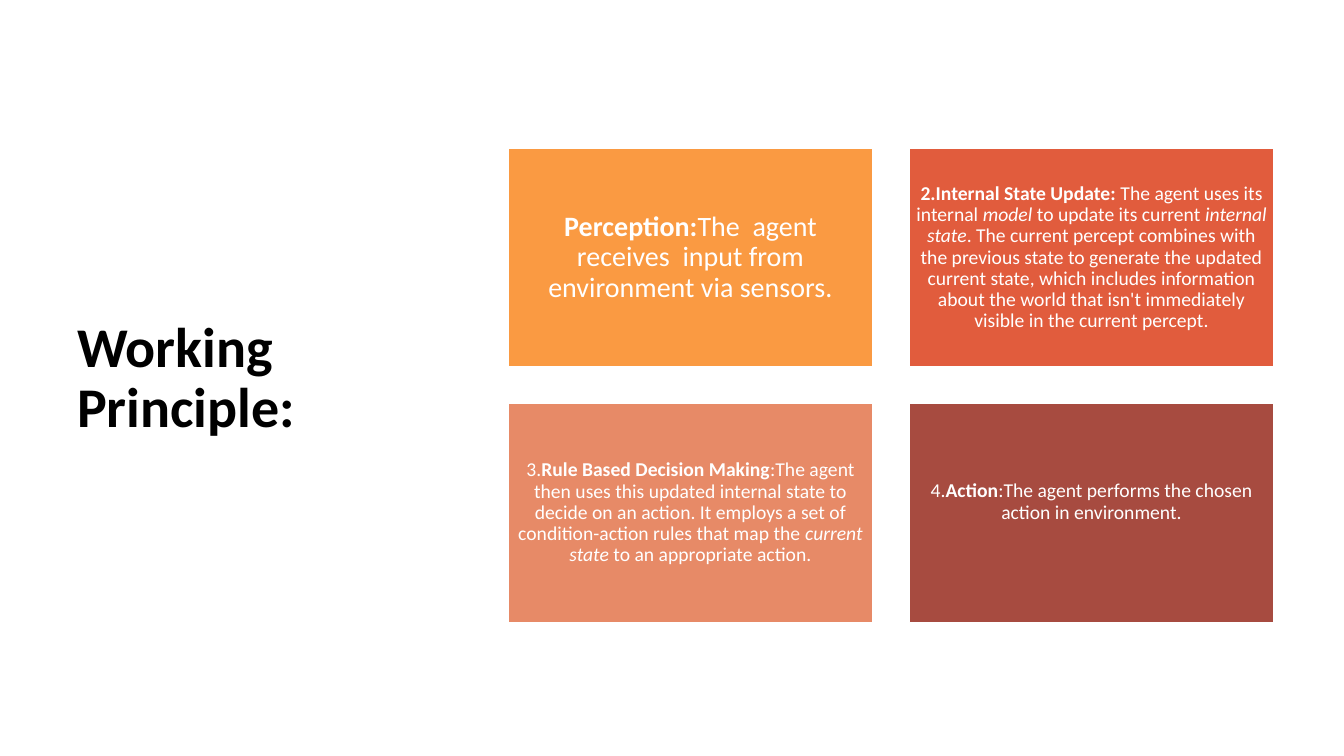
from dataclasses import dataclass

import pptx
import pptx.dml.color
import pptx.enum.shapes
import pptx.enum.text
import pptx.util

Pt = pptx.util.Pt


@dataclass(frozen=True)
class Theme:
    font: str = "Calibri"
    title_size: int = 40
    lead_size: int = 20
    step_size: int = 14
    ink: str = "000000"
    paper: str = "FFFFFF"
    perception: str = "FA9A42"
    update: str = "E15C3D"
    decision: str = "E78A67"
    action: str = "A74B40"


THEME = Theme()
LINE_SPACING = 0.9

# Each step: fill, type size, inset, extra space below, spans of (text, style)
STEPS = [
    (THEME.perception, THEME.lead_size, 6, 0, [
        ("Perception:", "bold"),
        ("The  agent receives  input from environment via sensors.", ""),
    ]),
    (THEME.update, THEME.step_size, 4.2, 0, [
        ("2.Internal State Update: ", "bold"),
        ("The agent uses its internal ", ""),
        ("model", "italic"),
        (" to update its current ", ""),
        ("internal state", "italic"),
        (". The current percept combines with the previous state to generate "
         "the updated current state, which includes information about the "
         "world that isn't immediately visible in the current percept.", ""),
    ]),
    (THEME.decision, THEME.step_size, 4.2, 0, [
        ("3.", ""),
        ("Rule Based Decision Making", "bold"),
        (":The agent then uses this updated internal state to decide on an "
         "action. It employs a set of condition-action rules that map the ", ""),
        ("current state", "italic"),
        (" to an appropriate action.", ""),
    ]),
    (THEME.action, THEME.step_size, 4.2, 15.4, [
        ("4.", ""),
        ("Action", "bold"),
        (":The agent performs the chosen action in environment.", ""),
    ]),
]


def color(value):
    return pptx.dml.color.RGBColor.from_string(value)


def write_text(shape, spans, *, size, ink, align="LEFT", inset=(7.2, 3.6, 7.2, 3.6)):
    """Fill a shape with one paragraph; inset is left, top, right, bottom."""
    frame = shape.text_frame
    frame.word_wrap = True
    frame.auto_size = pptx.enum.text.MSO_AUTO_SIZE.NONE
    frame.vertical_anchor = pptx.enum.text.MSO_ANCHOR.MIDDLE
    frame.margin_left, frame.margin_top, frame.margin_right, frame.margin_bottom = map(Pt, inset)
    para = frame.paragraphs[0]
    para.alignment = pptx.enum.text.PP_ALIGN[align]
    para.line_spacing = LINE_SPACING
    for text, style in spans:
        span = para.add_run()
        span.text = text
        span.font.name = THEME.font
        span.font.size = Pt(size)
        span.font.color.rgb = color(ink)
        span.font.bold = style == "bold"
        span.font.italic = style == "italic"


def add_title(page, left, top, width, height):
    box = page.shapes.add_textbox(Pt(left), Pt(top), Pt(width), Pt(height))
    write_text(box, [("Working Principle:", "bold")], size=THEME.title_size, ink=THEME.ink)


def add_step(page, left, top, width, height, step):
    fill, size, inset, space_below, spans = step
    card = page.shapes.add_shape(pptx.enum.shapes.MSO_SHAPE.RECTANGLE,
                                 Pt(left), Pt(top), Pt(width), Pt(height))
    card.shadow.inherit = False
    card.fill.solid()
    card.fill.fore_color.rgb = color(fill)
    card.line.color.rgb = color(THEME.paper)
    card.line.width = Pt(1)
    write_text(card, spans, size=size, ink=THEME.paper, align="CENTER",
               inset=(inset, inset, inset, inset + space_below))


def add_step_grid(page, left, top, width, height, gap=26, columns=2):
    rows = len(STEPS) // columns
    card_width = (width - gap * (columns - 1)) / columns
    card_height = (height - gap * (rows - 1)) / rows
    for index, step in enumerate(STEPS):
        row, column = divmod(index, columns)
        add_step(page, left + column * (card_width + gap), top + row * (card_height + gap),
                 card_width, card_height, step)


def main():
    deck = pptx.Presentation()
    deck.slide_width, deck.slide_height = Pt(960), Pt(540)
    page = deck.slides.add_slide(deck.slide_layouts[6])
    add_title(page, 48, 43.2, 275, 455.8)
    add_step_grid(page, 363, 106, 547, 338.5)
    deck.save("out.pptx")


if __name__ == "__main__":
    main()
